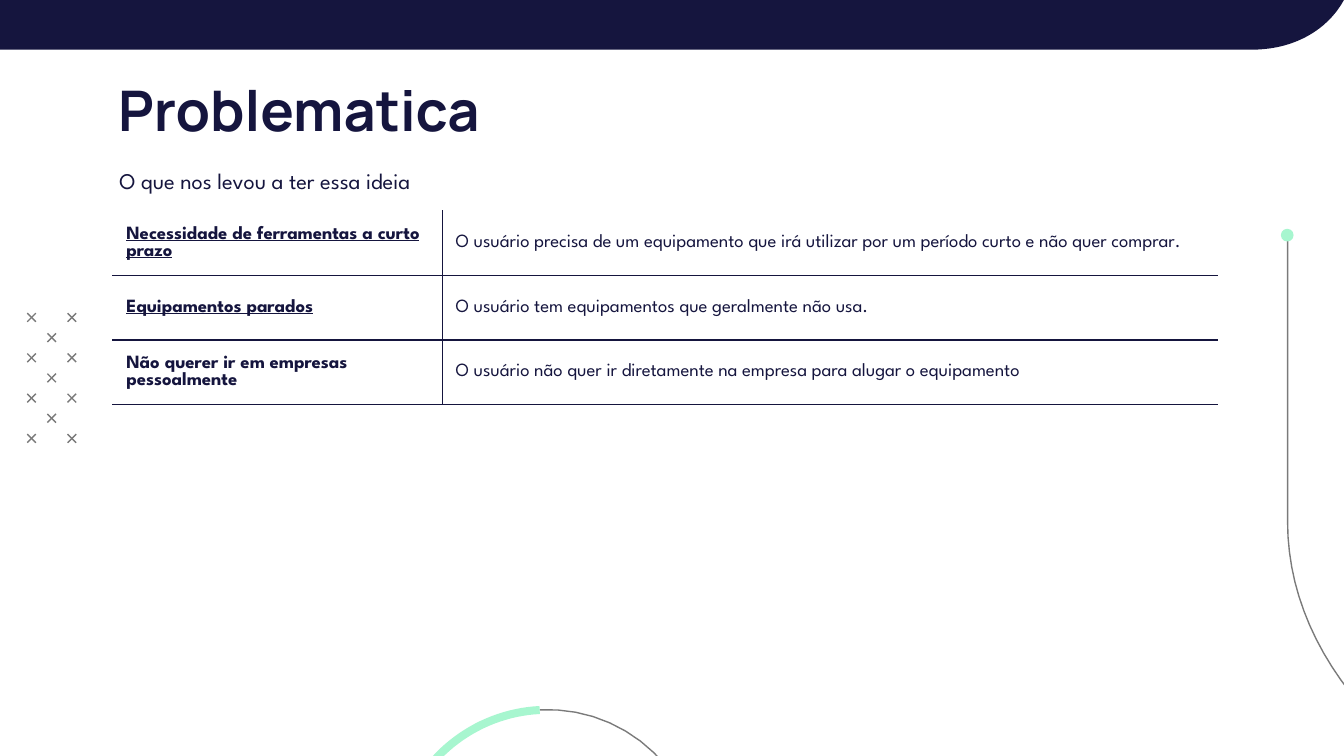
import math
from dataclasses import dataclass

import pptx
import pptx.dml.color
import pptx.enum.shapes
import pptx.enum.text
import pptx.oxml
import pptx.oxml.ns
import pptx.util

Pt = pptx.util.Pt
Point = tuple[float, float]

COLORS = {"navy": "15153E", "mint": "A7F6CF", "gray": "7A7A7A"}
BODY_FONT = "League Spartan"
LINE_WIDTH = 0.75
CURVE_STEPS = 40


@dataclass
class TextStyle:
    size: float
    font: str = BODY_FONT
    bold: bool = False
    underline: bool = False


@dataclass
class TextBox:
    text: str
    left: float
    top: float
    width: float
    height: float
    right_inset: float
    anchor: pptx.enum.text.MSO_ANCHOR
    style: TextStyle


@dataclass
class Problem:
    name: str
    detail: str
    underline: bool


TEXT_BOXES = [
    TextBox("Problematica", 56.2, 33.1, 607.7, 45.4, 7.2,
            pptx.enum.text.MSO_ANCHOR.TOP, TextStyle(30, "Manrope", bold=True)),
    TextBox("O que nos levou a ter essa ideia", 56.9, 82.1, 607, 28.8, 0,
            pptx.enum.text.MSO_ANCHOR.BOTTOM, TextStyle(12)),
]
PROBLEMS = [
    Problem("Necessidade de ferramentas a curto prazo",
            "O usuário precisa de um equipamento que irá utilizar por um período "
            "curto e não quer comprar.", True),
    Problem("Equipamentos parados",
            "O usuário tem equipamentos que geralmente não usa.", True),
    Problem("Não querer ir em empresas pessoalmente",
            "O usuário não quer ir diretamente na empresa para alugar o equipamento",
            False),
]


def color(name: str) -> pptx.dml.color.RGBColor:
    return pptx.dml.color.RGBColor.from_string(COLORS[name])


def arc(center: Point, radius: float, start: float, end: float) -> list[Point]:
    """Points on a circle, with angles in degrees clockwise from the right."""
    angles = [math.radians(start + (end - start) * step / CURVE_STEPS)
              for step in range(CURVE_STEPS + 1)]
    return [(center[0] + radius * math.cos(angle), center[1] + radius * math.sin(angle))
            for angle in angles]


def bezier(*controls: Point) -> list[Point]:
    """Points on the cubic curve given by four control points."""
    points = []
    for step in range(CURVE_STEPS + 1):
        t = step / CURVE_STEPS
        weights = ((1 - t) ** 3, 3 * t * (1 - t) ** 2, 3 * t * t * (1 - t), t ** 3)
        points.append((sum(w * p[0] for w, p in zip(weights, controls)),
                       sum(w * p[1] for w, p in zip(weights, controls))))
    return points


def paint(shape, fill: str | None = None, line: str | None = None) -> None:
    shape.shadow.inherit = False
    if fill:
        shape.fill.solid()
        shape.fill.fore_color.rgb = color(fill)
    else:
        shape.fill.background()
    if line:
        shape.line.color.rgb = color(line)
        shape.line.width = Pt(LINE_WIDTH)
    else:
        shape.line.fill.background()


def draw_outline(shapes, points: list[Point], fill: str | None = None,
                 line: str | None = None) -> None:
    builder = shapes.build_freeform(Pt(points[0][0]), Pt(points[0][1]))
    builder.add_line_segments([(Pt(x), Pt(y)) for x, y in points[1:]], close=bool(fill))
    paint(builder.convert_to_shape(), fill, line)


def draw_cross(shapes, x: float, y: float, arm: float = 2.3) -> None:
    for rise in (-arm, arm):
        stroke = shapes.add_connector(
            pptx.enum.shapes.MSO_CONNECTOR.STRAIGHT,
            Pt(x - arm), Pt(y - rise), Pt(x + arm), Pt(y + rise))
        stroke.line.color.rgb = color("gray")
        stroke.line.width = Pt(LINE_WIDTH)
        stroke._element.spPr.append(pptx.oxml.parse_xml(
            f"<a:effectLst {pptx.oxml.ns.nsdecls('a')}/>"))


def draw_crosses(shapes) -> None:
    """Seven rows, alternating two outer crosses and one in the middle."""
    step = 10.8
    for row in range(7):
        for column in ((1,) if row % 2 else (0, 2)):
            draw_cross(shapes, 16.9 + column * step, 170.1 + row * step)


def write(frame, text: str, style: TextStyle) -> None:
    para = frame.paragraphs[0]
    para.alignment = pptx.enum.text.PP_ALIGN.LEFT
    span = para.add_run()
    span.text = text
    span.font.name = style.font
    span.font.size = Pt(style.size)
    span.font.bold = style.bold
    span.font.underline = style.underline
    span.font.color.rgb = color("navy")


def draw_text(shapes, item: TextBox) -> None:
    box = shapes.add_textbox(Pt(item.left), Pt(item.top), Pt(item.width), Pt(item.height))
    frame = box.text_frame
    frame.word_wrap = True
    frame.vertical_anchor = item.anchor
    frame.margin_left = frame.margin_top = frame.margin_bottom = Pt(7.2)
    frame.margin_right = Pt(item.right_inset)
    write(frame, item.text, item.style)


def add_borders(cell, sides: str) -> None:
    """Rule the given sides, named by the letters L, R, T and B in that order."""
    for side in sides:
        cell._tc.get_or_add_tcPr().append(pptx.oxml.parse_xml(
            f"<a:ln{side} {pptx.oxml.ns.nsdecls('a')} w='{Pt(LINE_WIDTH)}'><a:solidFill>"
            f"<a:srgbClr val='{COLORS['navy']}'/></a:solidFill></a:ln{side}>"))


def draw_table(shapes, problems: list[Problem]) -> None:
    widths, row_height = (176.4, 415.4), 34.56
    table = shapes.add_table(len(problems), len(widths), Pt(60.5), Pt(113), Pt(sum(widths)),
                             Pt(row_height * len(problems))).table
    table.first_row = table.horz_banding = False
    for column, width in zip(table.columns, widths):
        column.width = Pt(width)
    for index, problem in enumerate(problems):
        table.rows[index].height = Pt(row_height)
        entries = ((problem.name, TextStyle(10, bold=True, underline=problem.underline), "R"),
                   (problem.detail, TextStyle(10), "L"))
        for cell, (text, style, inner_side) in zip(table.rows[index].cells, entries):
            cell.margin_left = cell.margin_right = Pt(7.2)
            cell.margin_top = cell.margin_bottom = Pt(0)
            cell.vertical_anchor = pptx.enum.text.MSO_ANCHOR.MIDDLE
            add_borders(cell, inner_side + ("TB" if index else "B"))
            cell.fill.background()
            write(cell.text_frame, text, style)


def main() -> None:
    deck = pptx.Presentation()
    deck.slide_width, deck.slide_height = Pt(720), Pt(405)
    shapes = deck.slides.add_slide(deck.slide_layouts[6]).shapes

    draw_crosses(shapes)
    center = (293.4, 461.9)
    draw_outline(shapes, arc(center, 81.7, -93, 177), line="gray")
    draw_outline(shapes, arc(center, 83.8, 177, 267) + arc(center, 79.5, 267, 177), fill="mint")
    draw_outline(shapes, [(689.8, 126)] + bezier((689.8, 279.4), (689.8, 389.5),
                 (824.4, 478.8), (990, 478.8)) + [(1085.8, 478.8)], line="gray")
    dot = shapes.add_shape(pptx.enum.shapes.MSO_SHAPE.OVAL,
                           Pt(686.2), Pt(122.6), Pt(6.8), Pt(6.8))
    paint(dot, fill="mint")
    draw_outline(shapes, [(0, 0), (0, 26.6)] + bezier((673.2, 26.6), (694.1, 25.9),
                 (711.4, 15.8), (720, 0)), fill="navy")

    for item in TEXT_BOXES:
        draw_text(shapes, item)
    draw_table(shapes, PROBLEMS)
    deck.save("out.pptx")


if __name__ == "__main__":
    main()
